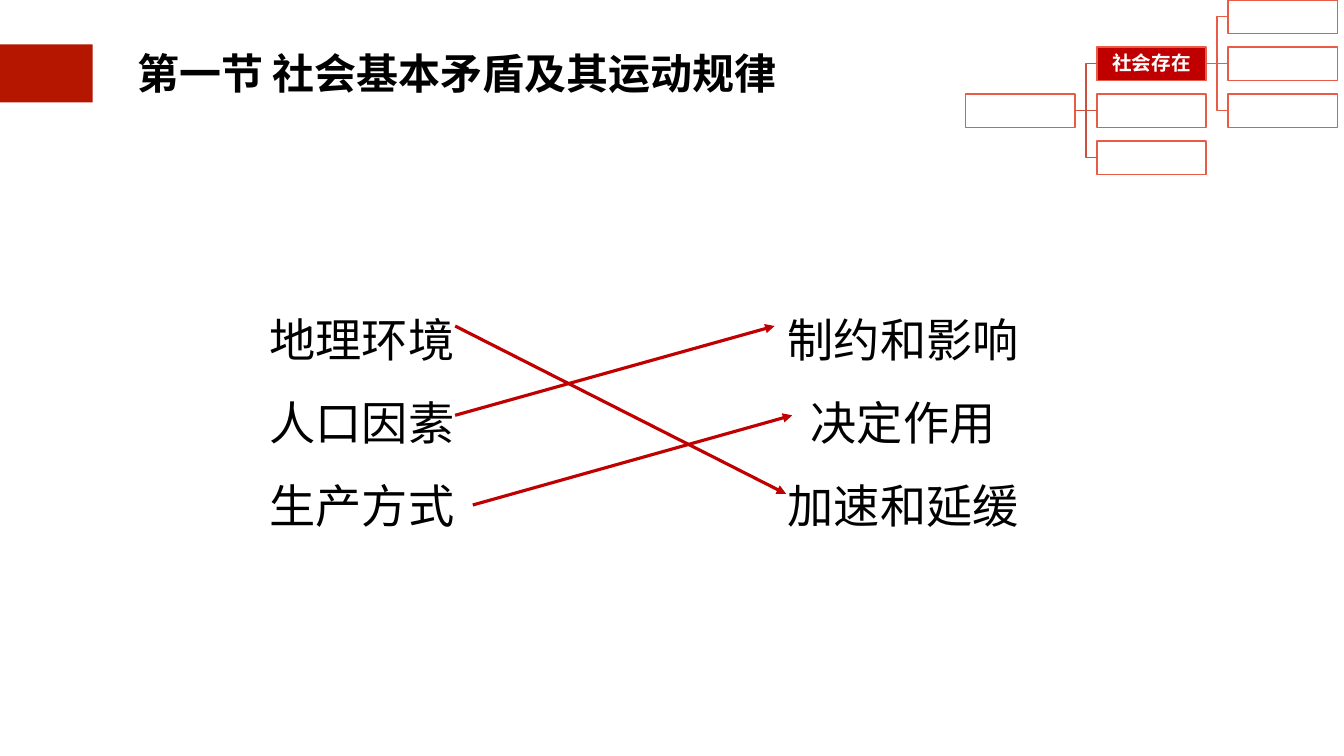
from pptx import Presentation
from pptx import util as u
from pptx.dml import color
from pptx.enum import shapes, text
from pptx.oxml.ns import qn
from lxml import etree

CJK = "Noto Sans CJK SC"


def rgb(value):
    """Turn a hex string into a colour."""
    return color.RGBColor.from_string(value)


def write(shape, lines, size, inset, font=CJK, ink="000000", bold=False, spacing=None):
    """Fill a shape with centred lines of one style."""
    frame = shape.text_frame
    frame.vertical_anchor = text.MSO_ANCHOR.MIDDLE
    frame.margin_left = frame.margin_right = u.Cm(inset)
    frame.margin_top = frame.margin_bottom = u.Cm(inset)
    frame.text = "\n".join(lines)
    for paragraph in frame.paragraphs:
        paragraph.alignment = text.PP_ALIGN.CENTER
        paragraph.line_spacing = spacing
        for run in paragraph.runs:
            run.font.size = u.Pt(size)
            run.font.bold = bold
            run.font.color.rgb = rgb(ink)
            run.font.name = font
            etree.SubElement(run.font._element, qn("a:ea"), typeface=CJK)


def rectangle(slide, left, top, width, height, fill, outline=None):
    """Draw a flat rectangle, outlined when a colour is given."""
    box = slide.shapes.add_shape(shapes.MSO_SHAPE.RECTANGLE,
                                 u.Cm(left), u.Cm(top), u.Cm(width), u.Cm(height))
    box.shadow.inherit = False
    box.fill.solid()
    box.fill.fore_color.rgb = rgb(fill)
    if outline:
        box.line.color.rgb = rgb(outline)
        box.line.width = u.Pt(2)
    else:
        box.line.fill.background()
    return box


def connector(slide, kind, ends, ink, width):
    """Draw a connector without a shadow between two points in centimetres."""
    link = slide.shapes.add_connector(kind, *(u.Cm(end) for end in ends))
    link.line.color.rgb = rgb(ink)
    link.line.width = u.Pt(width)
    etree.SubElement(link._element.spPr, qn("a:effectLst"))
    return link


def heading(slide, left, top, width, height):
    """Place the red tab and the section title beside it."""
    rectangle(slide, left, top + 0.18, 4.75, 2.92, "B51600")
    title = slide.shapes.add_textbox(u.Cm(left + 6.48), u.Cm(top),
                                     u.Cm(width - 6.48), u.Cm(height))
    title.text_frame.word_wrap = False
    write(title, ["第一节 社会基本矛盾及其运动规律"], 60, 0.15, "Arial", bold=True)


def topic_tree(slide, left, top, width, height):
    """Place the outline tree with the current topic highlighted."""
    node_width, node_height = 5.51, 1.68
    column_step = (width - node_width) / 2
    row_step = (height - node_height) / 3

    def node(column, row, fill="FFFFFF"):
        return rectangle(slide, left + column * column_step, top + row * row_step,
                         node_width, node_height, fill, "E75B47")

    def branch(parent, children, ink):
        for child in children:
            level = parent.top == child.top
            kind = shapes.MSO_CONNECTOR.STRAIGHT if level else shapes.MSO_CONNECTOR.ELBOW
            link = connector(slide, kind, (0, 0, 0, 0), ink, 2)
            link.begin_connect(parent, 3)
            link.end_connect(child, 1)

    essence = node(0, 2)
    existence = node(1, 1, "C00000")
    write(existence, ["社会存在"], 28, 0.05, ink="FFFFFF", bold=True, spacing=0.9)
    aspects = [existence, node(1, 2), node(1, 3)]
    factors = [node(2, row) for row in range(3)]
    branch(essence, aspects, "CC503E")
    branch(existence, factors, "E75B47")


def matching(slide, left, top, width, height):
    """Place the factors, their roles and the arrows that pair them."""
    column_width = 21.08
    columns = [
        (left, ["地理环境", "人口因素", "生产方式"]),
        (left + width - column_width, ["制约和影响", "决定作用", "加速和延缓"]),
    ]
    for column_left, entries in columns:
        column = slide.shapes.add_textbox(u.Cm(column_left), u.Cm(top),
                                          u.Cm(column_width), u.Cm(height))
        column.text_frame.word_wrap = True
        write(column, entries, 66, 0.15, spacing=1.5)

    pairs = [
        (15.24, 2.36, 31.92, 10.82),
        (15.24, 6.86, 31.34, 2.36),
        (16.13, 11.38, 32.23, 6.86),
    ]
    for x1, y1, x2, y2 in pairs:
        ends = (left + x1, top + y1, left + x2, top + y2)
        arrow = connector(slide, shapes.MSO_CONNECTOR.STRAIGHT, ends, "C00000", 4.5)
        etree.SubElement(arrow.line._get_or_add_ln(), qn("a:tailEnd"), type="triangle")


def main():
    """Build and save the slide."""
    deck = Presentation()
    deck.slide_width, deck.slide_height = u.Cm(67.74), u.Cm(38.1)
    slide = deck.slides.add_slide(deck.slide_layouts[6])
    heading(slide, -0.08, 2.06, 39.73, 3.25)
    matching(slide, 7.7, 14.07, 48.36, 12.98)
    topic_tree(slide, 48.67, 0, 18.74, 8.79)
    deck.save("out.pptx")


if __name__ == "__main__":
    main()
